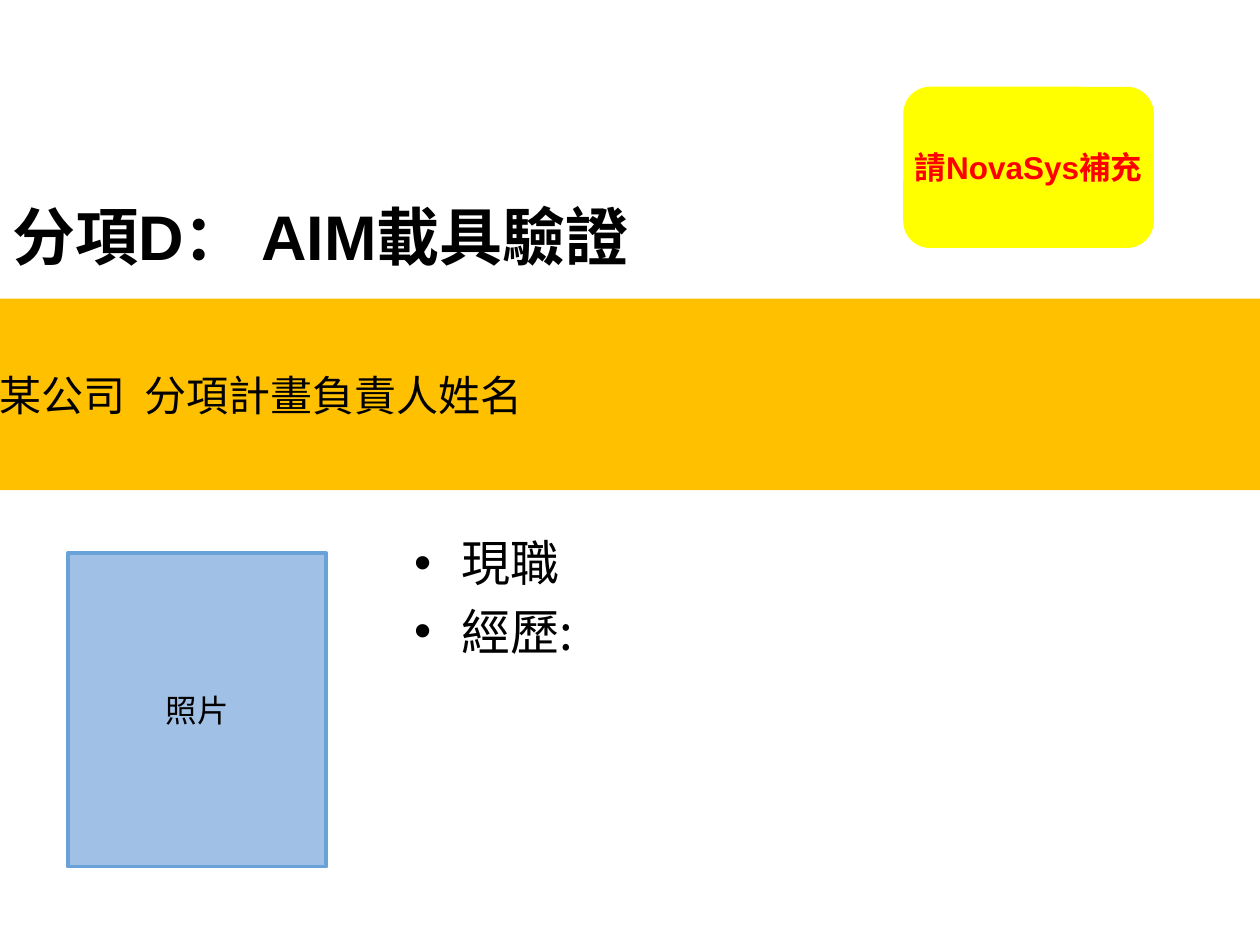
from dataclasses import dataclass
from lxml.etree import SubElement
from pptx import Presentation
from pptx.dml.color import RGBColor
from pptx.enum.shapes import MSO_SHAPE
from pptx.enum.text import MSO_ANCHOR, PP_ALIGN
from pptx.oxml.ns import qn
from pptx.util import Cm, Pt


@dataclass(frozen=True)
class Theme:
    """Colours, fonts and type sizes of the slide."""
    ink: str = "000000"
    band: str = "FFC000"
    photo: str = "A0C0E5"
    edge: str = "69A2D8"
    note: str = "FFFF00"
    alert: str = "FF0000"
    latin: str = "Arial"
    plain: str = "Noto Sans CJK SC"
    asian: str = "Noto Sans CJK TC"
    title: int = 36
    body: int = 28
    name: int = 24
    label: int = 18


THEME = Theme()


def write(para, text, size, face, color=THEME.ink, bold=False):
    """Add one styled run to a paragraph."""
    run = para.add_run()
    run.text = text
    font = run.font
    font.size, font.name, font.bold = Pt(size), face, bold
    font.color.rgb = RGBColor.from_string(color)
    asian = THEME.asian if face == THEME.latin else face
    SubElement(font._element, qn("a:ea"), typeface=asian)


def panel(slide, box, kind, fill, edge=None):
    """Draw a filled shape and return its centred text frame."""
    shape = slide.shapes.add_shape(kind, *map(Cm, box))
    shape.shadow.inherit = False
    shape.fill.solid()
    shape.fill.fore_color.rgb = RGBColor.from_string(fill)
    if edge:
        shape.line.color.rgb = RGBColor.from_string(edge)
        shape.line.width = Pt(2.25)
    else:
        shape.line.fill.background()
    frame = shape.text_frame
    frame.margin_left = frame.margin_right = 0
    frame.margin_top = frame.margin_bottom = 0
    frame.vertical_anchor = MSO_ANCHOR.MIDDLE
    frame.word_wrap = True
    frame.paragraphs[0].alignment = PP_ALIGN.CENTER
    return frame


def area(slide, box):
    """Add a wrapping text box and return its frame."""
    frame = slide.shapes.add_textbox(*map(Cm, box)).text_frame
    frame.word_wrap = True
    return frame


def head(slide, box):
    """Place the section title and the owner band beneath it."""
    left, top, width, height = box
    band = 3.86
    frame = panel(slide, (left, top + height - band, width, band),
                  MSO_SHAPE.RECTANGLE, THEME.band)
    para = frame.paragraphs[0]
    para.alignment = PP_ALIGN.LEFT
    write(para, "某公司  分項計畫負責人姓名", THEME.name, THEME.plain)
    frame = area(slide, (left, top, 17.45, 1.8))
    write(frame.paragraphs[0], "分項D： AIM載具驗證", THEME.title,
          THEME.latin, bold=True)


def resume(slide, box):
    """Place the bulleted career list."""
    frame = area(slide, box)
    for i, text in enumerate(("現職", "經歷:")):
        para = frame.add_paragraph() if i else frame.paragraphs[0]
        props = para._p.get_or_add_pPr()
        props.set("marL", str(Cm(0.95)))
        props.set("indent", str(-Cm(0.95)))
        SubElement(props, qn("a:buFont"), typeface=THEME.latin)
        SubElement(props, qn("a:buChar"), char="•")
        if i:
            para.space_before = Pt(THEME.body * 0.2)
        write(para, text, THEME.body, THEME.asian)


def photo(slide, box):
    """Place the portrait frame."""
    frame = panel(slide, box, MSO_SHAPE.RECTANGLE, THEME.photo, THEME.edge)
    write(frame.paragraphs[0], "照片", THEME.label, THEME.plain)


def note(slide, box):
    """Place the rounded reminder."""
    frame = panel(slide, box, MSO_SHAPE.ROUNDED_RECTANGLE, THEME.note)
    write(frame.paragraphs[0], "請NovaSys補充", THEME.label, THEME.latin,
          THEME.alert, True)


def main():
    """Build and save the slide."""
    deck = Presentation()
    deck.slide_width, deck.slide_height = Cm(25.4), Cm(19.05)
    slide = deck.slides.add_slide(deck.slide_layouts[6])
    head(slide, (0, 3.86, 25.4, 6.02))
    resume(slide, (8.1, 10.62, 17.1, 6.12))
    photo(slide, (1.37, 11.15, 5.21, 6.32))
    note(slide, (18.21, 1.75, 5.05, 3.25))
    deck.save("out.pptx")


if __name__ == "__main__":
    main()
